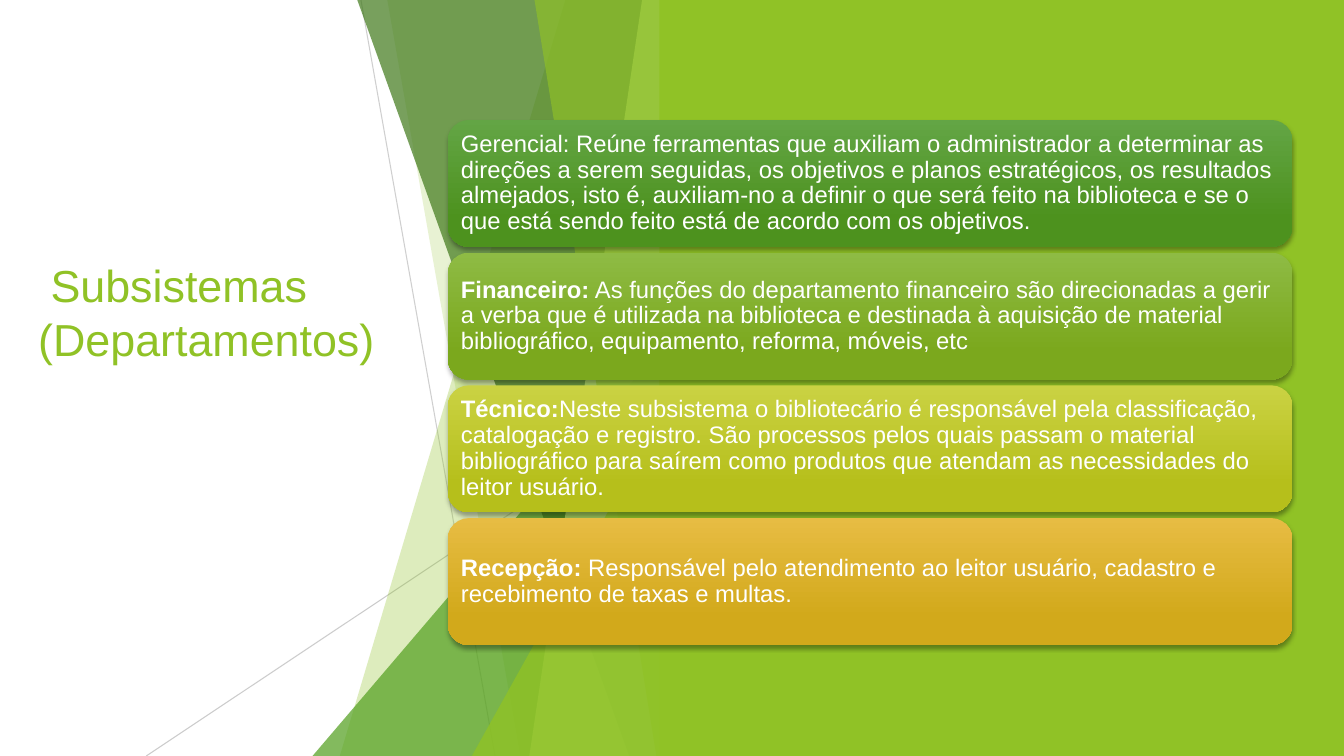
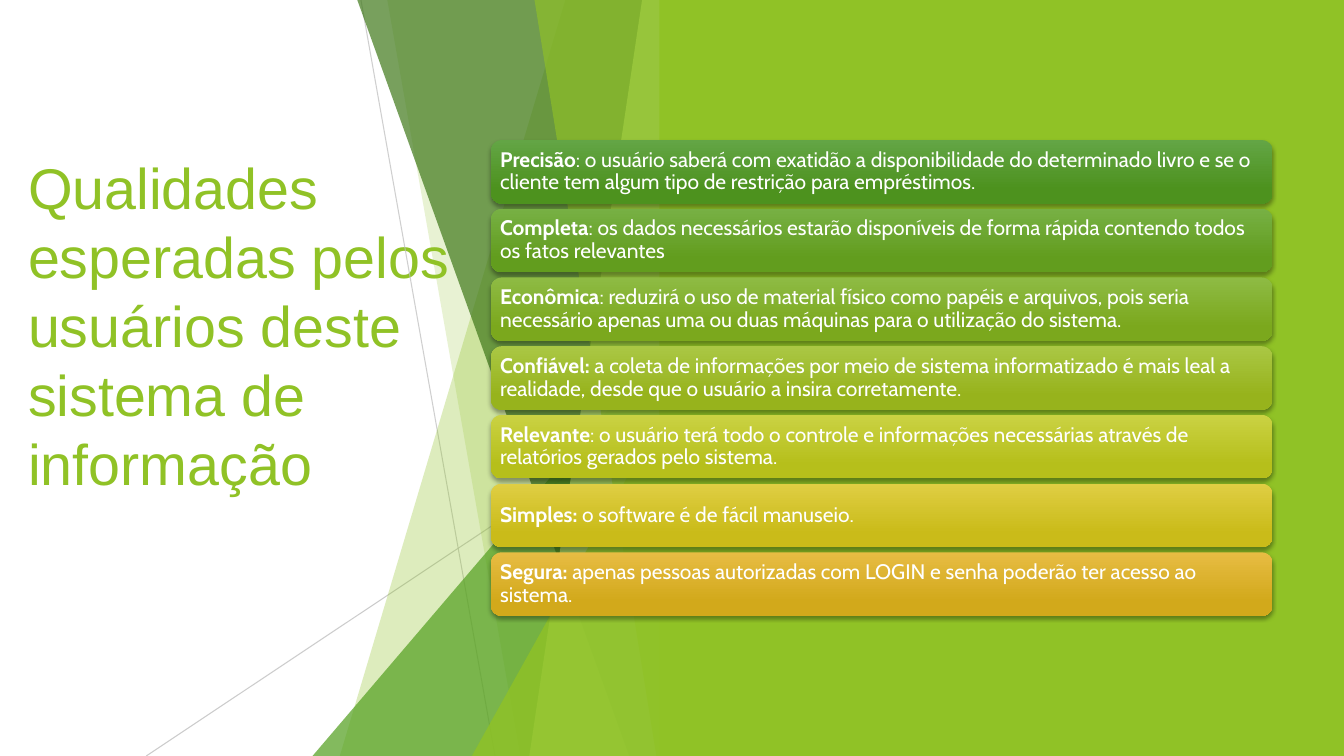
from pptx import Presentation
from pptx.dml.color import RGBColor
from pptx.enum.shapes import MSO_CONNECTOR, MSO_SHAPE
from pptx.enum.text import MSO_ANCHOR, PP_ALIGN
from pptx.oxml.ns import qn
from pptx.oxml.xmlchemy import OxmlElement
from pptx.util import Inches, Pt

WIDTH, HEIGHT = 13.33, 7.5
GREEN, LEAF, FOREST, LIME = "90C226", "54A021", "3F7819", "C0E474"
WHITE, GREY = "FFFFFF", "BFBFBF"
GRADIENTS = [
    ("63A545", "4D921E"), ("77B044", "629D1E"), ("8EBB44", "7BA81D"),
    ("AAC744", "97B31C"), ("CAD243", "B6BF1B"), ("DFCE43", "CABB19"),
    ("E7BC43", "D2A91B"),
]
SUBSYSTEMS = [
    ("", "Gerencial: Reúne ferramentas que auxiliam o administrador a determinar as "
         "direções a serem seguidas, os objetivos e planos estratégicos, os resultados "
         "almejados, isto é, auxiliam-no a definir o que será feito na biblioteca e se o "
         "que está sendo feito está de acordo com os objetivos."),
    ("Financeiro:", " As funções do departamento financeiro são direcionadas a gerir "
                    "a verba que é utilizada na biblioteca e destinada à aquisição de "
                    "material bibliográfico, equipamento, reforma, móveis, etc"),
    ("Técnico:", "Neste subsistema o bibliotecário é responsável pela classificação, "
                 "catalogação e registro. São processos pelos quais passam o material "
                 "bibliográfico para saírem como produtos que atendam as necessidades do "
                 "leitor usuário."),
    ("Recepção: ", "Responsável pelo atendimento ao leitor usuário, cadastro e "
                   "recebimento de taxas e multas."),
]
QUALITIES = [
    ("Precisão", ": o usuário saberá com exatidão a disponibilidade do determinado "
                 "livro e se o cliente tem algum tipo de restrição para empréstimos."),
    ("Completa", ": os dados necessários estarão disponíveis de forma rápida contendo "
                 "todos os fatos relevantes"),
    ("Econômica", ": reduzirá o uso de material físico como papéis e arquivos, pois "
                  "seria necessário apenas uma ou duas máquinas para o utilização do "
                  "sistema."),
    ("Confiável: ", "a coleta de informações por meio de sistema informatizado é mais "
                    "leal a realidade, desde que o usuário a insira corretamente."),
    ("Relevante", ": o usuário terá todo o controle e informações necessárias através "
                  "de relatórios gerados pelo sistema."),
    ("Simples: ", "o software é de fácil manuseio."),
    ("Segura:", " apenas pessoas autorizadas com LOGIN e senha poderão ter acesso ao "
                "sistema."),
]


def rgb(code):
    """Turn a hex string into a colour."""
    return RGBColor.from_string(code)


def add_xml(parent, tag, **attributes):
    """Append an element with attributes to a parent element."""
    child = OxmlElement(tag)
    for name, value in attributes.items():
        child.set(name, str(value))
    parent.append(child)
    return child


def set_opacity(shape, percent):
    """Make the first solid colour of a shape translucent."""
    colour = next(shape._element.spPr.iter(qn("a:srgbClr")))
    add_xml(colour, "a:alpha", val=percent * 1000)


class Deck:
    """Holds the shared style and the current slide."""

    def __init__(self):
        """Open an empty presentation."""
        self.presentation = Presentation()
        self.presentation.slide_width = Inches(WIDTH)
        self.presentation.slide_height = Inches(HEIGHT)
        self.shapes = None

    def new_slide(self):
        """Start a blank slide."""
        layout = self.presentation.slide_layouts[6]
        self.shapes = self.presentation.slides.add_slide(layout).shapes

    def title(self, text, left, top, width, height, size):
        """Write the title at the left."""
        heading = self.shapes.add_textbox(*map(Inches, (left, top, width, height)))
        frame = heading.text_frame
        frame.word_wrap = True
        frame.vertical_anchor = MSO_ANCHOR.MIDDLE
        paragraph = frame.paragraphs[0]
        paragraph.text = text
        paragraph.font.name = "Arial"
        paragraph.font.size = Pt(size)
        paragraph.font.color.rgb = rgb(GREEN)

    def ray(self, start, end, opacity):
        """Draw a thin translucent line."""
        line = self.shapes.add_connector(
            MSO_CONNECTOR.STRAIGHT, *map(Inches, start + end))
        line.line.color.rgb = rgb(GREY)
        line.line.width = Pt(0.75)
        set_opacity(line, opacity)
        add_xml(line._element.spPr, "a:effectLst")

    def paint(self, shape, colour, opacity=100):
        """Give a shape a flat fill without outline or shadow."""
        shape.shadow.inherit = False
        shape.line.fill.background()
        shape.fill.solid()
        shape.fill.fore_color.rgb = rgb(colour)
        if opacity < 100:
            set_opacity(shape, opacity)

    def shard(self, top_left, top_right, bottom_right, bottom_left, colour, opacity):
        """Draw a four-sided band from the top edge to the bottom edge."""
        top = Inches(-0.01)
        outline = self.shapes.build_freeform(Inches(top_left), top)
        outline.add_line_segments([
            (Inches(top_right), top),
            (Inches(bottom_right), Inches(HEIGHT)),
            (Inches(bottom_left), Inches(HEIGHT)),
        ], close=True)
        self.paint(outline.convert_to_shape(), colour, opacity)

    def wedge(self, left, top, width, colour, opacity):
        """Draw a right triangle standing on the bottom edge."""
        triangle = self.shapes.add_shape(
            MSO_SHAPE.ISOSCELES_TRIANGLE,
            *map(Inches, (left, top, width, HEIGHT - top)))
        triangle.adjustments[0] = 1
        self.paint(triangle, colour, opacity)

    def backdrop(self):
        """Draw the facets and the green panel."""
        self.ray((3.58, 0), (4.91, HEIGHT), 75)
        self.ray((6.66, 4.03), (1.45, HEIGHT), 80)
        self.shard(5.61, 6.66, 6.66, 3.37, GREEN, 30)
        self.shard(3.84, 6.67, 6.67, 5.16, GREEN, 20)
        self.wedge(3.1, 3.33, 3.56, LEAF, 72)
        self.shard(3.54, 6.66, 6.66, 6.24, FOREST, 70)
        self.shard(6.37, 6.66, 6.66, 5.25, LIME, 70)
        self.shard(5.3, 6.66, 6.66, 6.51, GREEN, 65)
        self.wedge(4.68, 3.93, 1.99, GREEN, 80)
        panel = self.shapes.add_shape(
            MSO_SHAPE.RECTANGLE, Inches(6.54), 0, Inches(WIDTH - 6.54), Inches(HEIGHT))
        self.paint(panel, GREEN)

    def card(self, box, gradient, entry, font, size, inset):
        """Draw a rounded card with a bold term and its description."""
        card = self.shapes.add_shape(MSO_SHAPE.ROUNDED_RECTANGLE, *map(Inches, box))
        card.line.fill.background()
        card.fill.gradient()
        card.fill.gradient_angle = 270
        for stop, colour, position in zip(card.fill.gradient_stops, gradient, (0, 0.78)):
            stop.color.rgb = rgb(colour)
            stop.position = position
        card.shadow.inherit = False
        effects = card._element.spPr.find(qn("a:effectLst"))
        shadow = add_xml(effects, "a:outerShdw", blurRad=Pt(3), dist=Pt(2),
                         dir=5400000, rotWithShape=0)
        add_xml(add_xml(shadow, "a:srgbClr", val="000000"), "a:alpha", val=35000)

        frame = card.text_frame
        frame.word_wrap = True
        frame.vertical_anchor = MSO_ANCHOR.MIDDLE
        frame.margin_left = frame.margin_right = Inches(inset)
        frame.margin_top = frame.margin_bottom = Inches(inset)
        paragraph = frame.paragraphs[0]
        paragraph.alignment = PP_ALIGN.LEFT
        paragraph.line_spacing = 0.9
        paragraph.font.name = font
        paragraph.font.size = Pt(size)
        paragraph.font.color.rgb = rgb(WHITE)
        for text, bold in zip(entry, (True, False)):
            if text:
                run = paragraph.add_run()
                run.text = text
                run.font.bold = bold

    def cards(self, entries, gradients, left, top, width, height, last_top, **style):
        """Stack cards evenly from the first top to the last."""
        pitch = (last_top - top) / (len(entries) - 1)
        for row, (entry, gradient) in enumerate(zip(entries, gradients)):
            box = (left, top + row * pitch, width, height)
            self.card(box, gradient, entry, **style)


deck = Deck()

deck.new_slide()
deck.title("\u00a0Subsistemas\v(Departamentos)", 0.28, 2.13, 3.88, 1.93, size=32)
deck.backdrop()
deck.cards(SUBSYSTEMS, GRADIENTS[::2], 4.44, 1.19, 8.38, 1.26, last_top=5.14,
           font="Arial", size=17, inset=0.07)

deck.new_slide()
deck.title("Qualidades esperadas pelos usuários deste sistema de informação",
           0.18, 1.53, 4.4, 3.38, size=41)
deck.backdrop()
deck.cards(QUALITIES, GRADIENTS, 4.87, 1.39, 7.75, 0.63, last_top=5.48,
           font="Cabin", size=15, inset=0.06)

deck.presentation.save("out.pptx")
